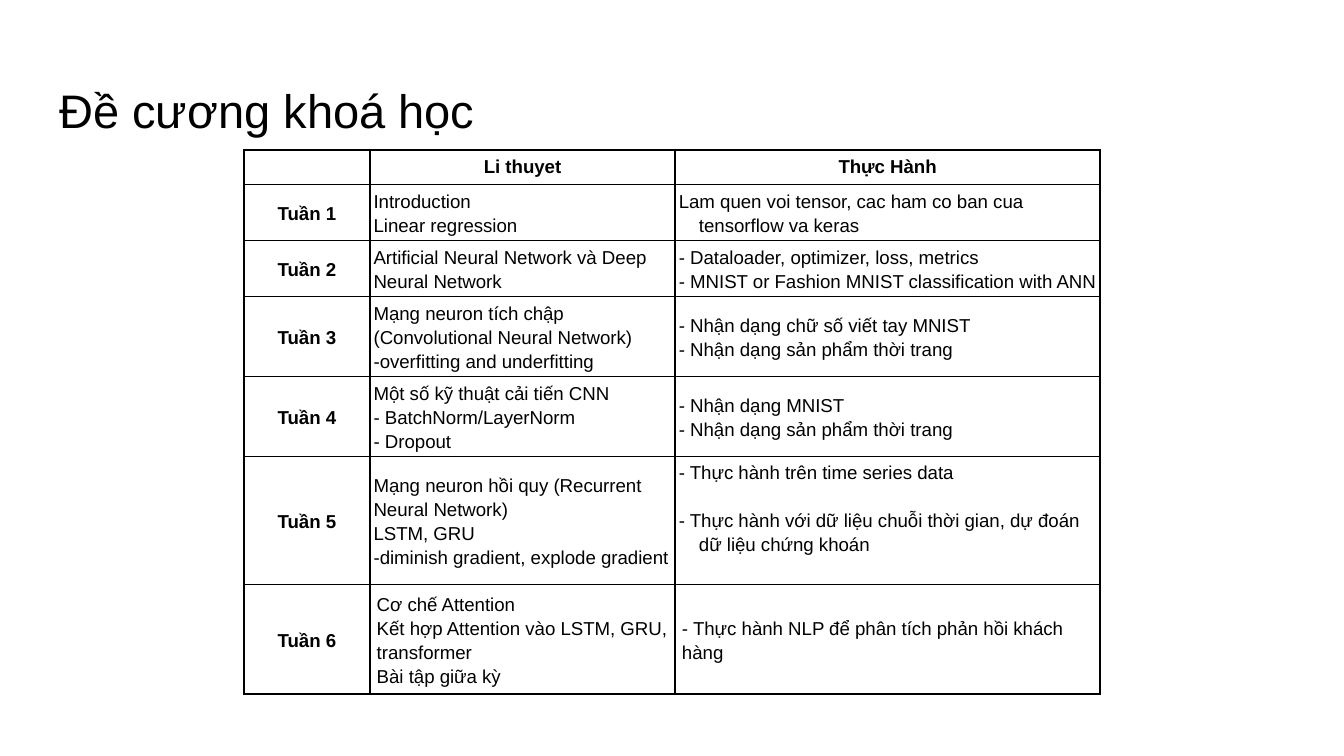
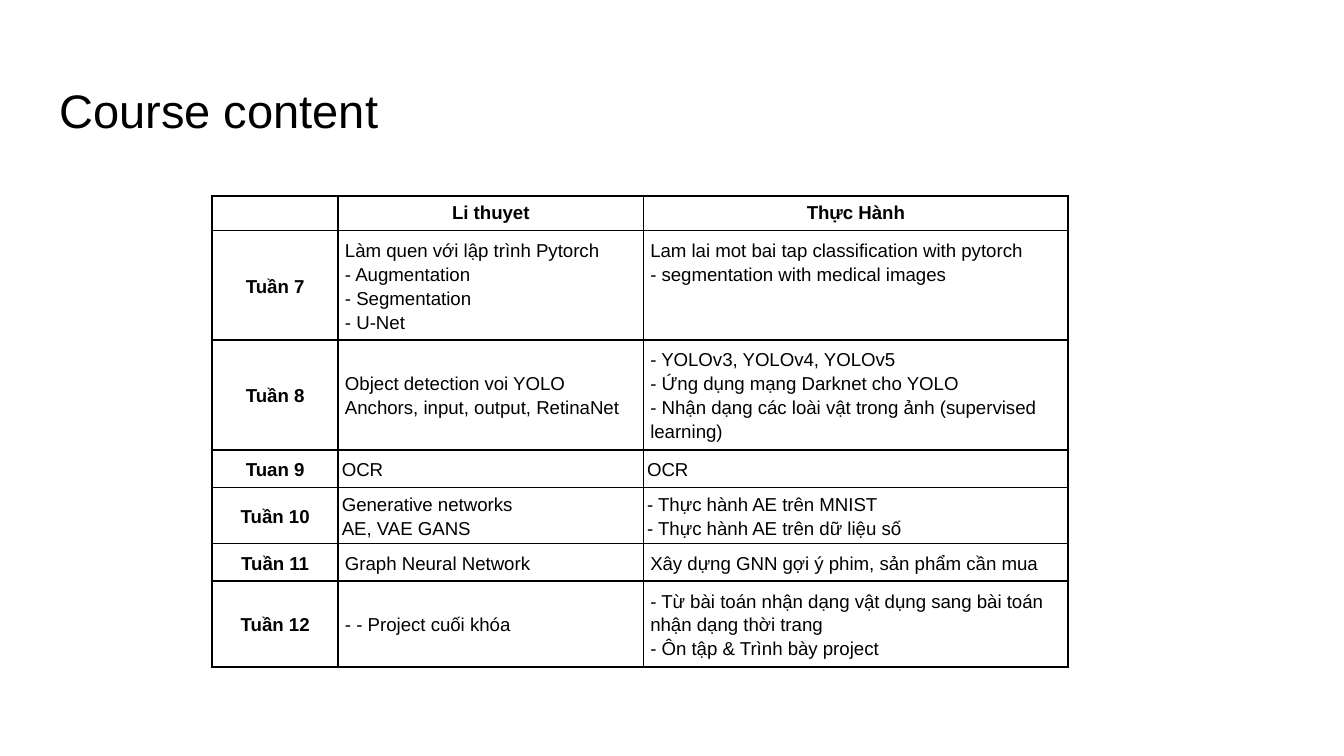
from dataclasses import dataclass

from lxml import etree
from pptx import Presentation
from pptx import util as u
from pptx.dml.color import RGBColor
from pptx.enum import text
from pptx.oxml import ns

BLACK = RGBColor(0x00, 0x00, 0x00)
FONT = "Arial"
TITLE_SIZE = u.Pt(25.2)
TABLE_SIZE = u.Pt(10)
TITLE_BOX = (u.Cm(0.87), u.Cm(1.25), u.Cm(23.67), u.Cm(1.6))
COLUMN_WIDTHS = (u.Cm(2.38), u.Cm(5.77), u.Cm(8.03))
HEADINGS = ("", "Li thuyet", "Thực Hành")
HEADER_HEIGHT = u.Cm(0.65)
WIDE_INSET = u.Cm(0.13)
TIGHT_INSET = u.Cm(0.07)
HANGING_INDENT = u.Cm(0.38)
BODY_SPACING = 1.15
BORDER_WIDTH = u.Pt(1)
TITLE_ONLY = 5
LEFT, CENTER = text.PP_ALIGN.LEFT, text.PP_ALIGN.CENTER
TOP, MIDDLE = text.MSO_ANCHOR.TOP, text.MSO_ANCHOR.MIDDLE


@dataclass
class Week:
    label: str
    height: float
    theory: str
    practice: str
    tight: bool = False
    practice_anchor: text.MSO_ANCHOR = MIDDLE
    practice_gap: float = 0


FIRST_HALF = [
    Week("Tuần 1", 1.06, "Introduction\nLinear regression",
         "Lam quen voi tensor, cac ham co ban cua tensorflow va keras", tight=True),
    Week("Tuần 2", 1.06, "Artificial Neural Network và Deep Neural Network",
         "- Dataloader, optimizer, loss, metrics\n"
         "- MNIST or Fashion MNIST classification with ANN", tight=True),
    Week("Tuần 3", 1.51,
         "Mạng neuron tích chập (Convolutional Neural Network)\n"
         "-overfitting and underfitting",
         "- Nhận dạng chữ số viết tay MNIST\n- Nhận dạng sản phẩm thời trang", tight=True),
    Week("Tuần 4", 1.51,
         "Một số kỹ thuật cải tiến CNN\n- BatchNorm/LayerNorm\n- Dropout",
         "- Nhận dạng MNIST\n- Nhận dạng sản phẩm thời trang", tight=True),
    Week("Tuần 5", 2.42,
         "Mạng neuron hồi quy (Recurrent Neural Network)\nLSTM, GRU\n"
         "-diminish gradient, explode gradient",
         "- Thực hành trên time series data\n"
         "- Thực hành với dữ liệu chuỗi thời gian, dự đoán dữ liệu chứng khoán",
         tight=True, practice_anchor=TOP, practice_gap=12.75),
    Week("Tuần 6", 2.06,
         "Cơ chế Attention\nKết hợp Attention vào LSTM, GRU, transformer\n"
         "Bài tập giữa kỳ",
         "- Thực hành NLP để phân tích phản hồi khách hàng"),
]

SECOND_HALF = [
    Week("Tuần 7", 2.06,
         "Làm quen với lập trình Pytorch\n- Augmentation\n- Segmentation\n- U-Net",
         "Lam lai mot bai tap classification with pytorch\n"
         "- segmentation with medical images", practice_anchor=TOP),
    Week("Tuần 8", 2.06,
         "Object detection voi YOLO\nAnchors, input, output, RetinaNet",
         "- YOLOv3, YOLOv4, YOLOv5\n- Ứng dụng mạng Darknet cho YOLO\n"
         "- Nhận dạng các loài vật trong ảnh (supervised learning)"),
    Week("Tuan 9", 0.71, "OCR", "OCR", tight=True),
    Week("Tuần 10", 1.06, "Generative networks\nAE, VAE GANS",
         "- Thực hành AE trên MNIST\n- Thực hành AE trên dữ liệu số", tight=True),
    Week("Tuần 11", 0.71, "Graph Neural Network",
         "Xây dựng GNN gợi ý phim, sản phẩm cần mua"),
    Week("Tuần 12", 1.62, "- - Project cuối khóa",
         "- Từ bài toán nhận dạng vật dụng sang bài toán nhận dạng thời trang\n"
         "- Ôn tập & Trình bày project"),
]


def set_font(font, size, bold=False):
    font.name = FONT
    font.size = size
    font.bold = bold
    font.color.rgb = BLACK


def add_title(slide, wording):
    title = slide.shapes.title
    title.left, title.top, title.width, title.height = TITLE_BOX
    frame = title.text_frame
    frame.text = wording
    frame.word_wrap = True
    frame.auto_size = text.MSO_AUTO_SIZE.NONE
    frame.vertical_anchor = text.MSO_ANCHOR.BOTTOM
    frame.margin_left = frame.margin_right = u.Cm(0.25)
    frame.margin_top = frame.margin_bottom = u.Cm(0.25)
    frame.paragraphs[0].alignment = LEFT
    set_font(frame.paragraphs[0].runs[0].font, TITLE_SIZE)


def draw_borders(cell):
    properties = cell._tc.get_or_add_tcPr()
    for side in ("a:lnL", "a:lnR", "a:lnT", "a:lnB"):
        line = etree.SubElement(properties, ns.qn(side), w=str(BORDER_WIDTH))
        fill = etree.SubElement(line, ns.qn("a:solidFill"))
        etree.SubElement(fill, ns.qn("a:srgbClr"), val=str(BLACK))


def fill_cell(cell, wording, inset, bold=False, align=LEFT, anchor=MIDDLE,
              spacing=BODY_SPACING, hanging=False, gap=0):
    draw_borders(cell)
    cell.fill.background()
    cell.margin_left = cell.margin_right = inset
    cell.margin_top = cell.margin_bottom = inset
    cell.vertical_anchor = anchor
    cell.text_frame.text = wording
    for index, paragraph in enumerate(cell.text_frame.paragraphs):
        paragraph.alignment = align
        paragraph.line_spacing = spacing
        if index and gap:
            paragraph.space_before = u.Pt(gap)
        if hanging:
            properties = paragraph._p.get_or_add_pPr()
            properties.set("marL", str(HANGING_INDENT))
            properties.set("indent", str(-HANGING_INDENT))
        set_font(paragraph.font, TABLE_SIZE, bold)
        for run in paragraph.runs:
            set_font(run.font, TABLE_SIZE, bold)


def add_syllabus(slide, left, top, weeks):
    heights = [HEADER_HEIGHT] + [u.Cm(week.height) for week in weeks]
    syllabus = slide.shapes.add_table(
        len(heights), len(COLUMN_WIDTHS), left, top,
        sum(COLUMN_WIDTHS), sum(heights)).table
    syllabus.horz_banding = False
    for column, width in zip(syllabus.columns, COLUMN_WIDTHS):
        column.width = width
    for row, height in zip(syllabus.rows, heights):
        row.height = height
    for column, heading in enumerate(HEADINGS):
        fill_cell(syllabus.cell(0, column), heading, WIDE_INSET, bold=True,
                  align=CENTER, anchor=TOP, spacing=1.0)
    for row, week in enumerate(weeks, start=1):
        inset = TIGHT_INSET if week.tight else WIDE_INSET
        fill_cell(syllabus.cell(row, 0), week.label, inset, bold=True, align=CENTER)
        fill_cell(syllabus.cell(row, 1), week.theory, inset)
        fill_cell(syllabus.cell(row, 2), week.practice, inset,
                  anchor=week.practice_anchor, hanging=week.tight,
                  gap=week.practice_gap)


def add_course_slide(deck, title, left, top, weeks):
    slide = deck.slides.add_slide(deck.slide_layouts[TITLE_ONLY])
    add_title(slide, title)
    add_syllabus(slide, left, top, weeks)


def main():
    deck = Presentation()
    deck.slide_width, deck.slide_height = u.Cm(25.4), u.Cm(14.29)
    add_course_slide(deck, "Đề cương khoá học", u.Cm(4.61), u.Cm(2.83), FIRST_HALF)
    add_course_slide(deck, "Course content", u.Cm(4.01), u.Cm(3.7), SECOND_HALF)
    deck.save("out.pptx")


if __name__ == "__main__":
    main()
